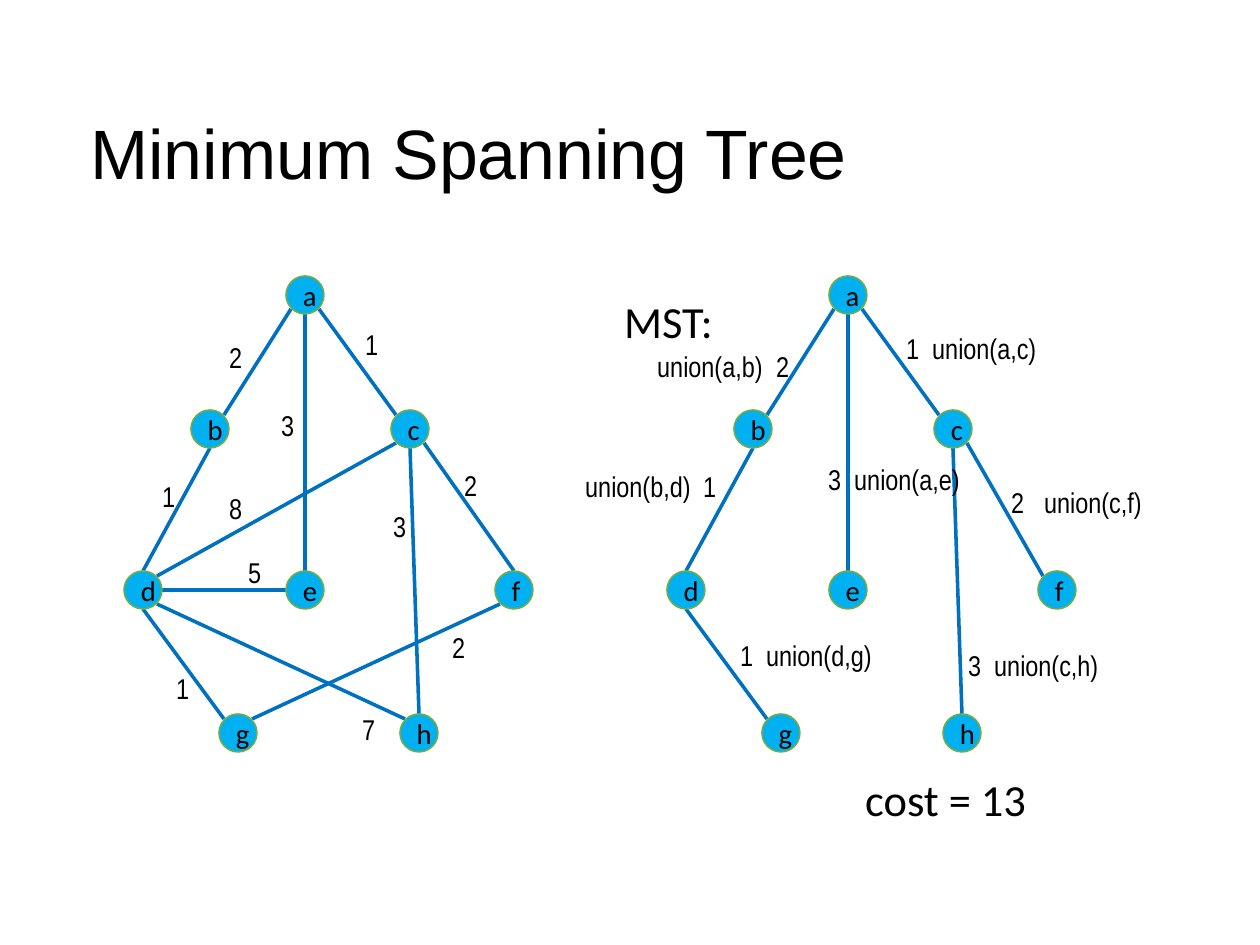
"""Build a slide that shows a weighted graph beside its minimum spanning tree."""
from lxml import etree
from pptx import Presentation
from pptx.dml.color import RGBColor
from pptx.enum.shapes import MSO_CONNECTOR, MSO_SHAPE
from pptx.enum.text import MSO_ANCHOR, MSO_AUTO_SIZE, PP_ALIGN
from pptx.oxml.ns import qn
from pptx.util import Emu, Pt

STRAIGHT, ELLIPSE = MSO_CONNECTOR.STRAIGHT, MSO_SHAPE.OVAL
MIDDLE, NO_AUTOFIT = MSO_ANCHOR.MIDDLE, MSO_AUTO_SIZE.NONE
LEFT, CENTER = PP_ALIGN.LEFT, PP_ALIGN.CENTER

COLORS = {"text": "000000", "node": "00B0F0", "outline": "70AD47", "edge": "0070C0"}
EMU_PER_PX = 8000
SLIDE_SIZE = (1260, 945)
RADIUS, DIAGONAL = 19, 14
TREE_SHIFT = 543

NODES = {
    "a": (305, 295), "b": (210, 429), "c": (410, 429), "d": (143, 590),
    "e": (305, 590), "f": (514, 590), "g": (238, 733), "h": (419, 733),
}
SITES = {
    "top": (0, -RADIUS), "bottom": (0, RADIUS),
    "left": (-RADIUS, 0), "right": (RADIUS, 0),
    "top left": (-DIAGONAL, -DIAGONAL), "top right": (DIAGONAL, -DIAGONAL),
    "bottom left": (-DIAGONAL, DIAGONAL), "bottom right": (DIAGONAL, DIAGONAL),
}
SHARED_EDGES = [
    ("a", "bottom left", "b", "top right"),
    ("a", "bottom right", "c", "top left"),
    ("a", "bottom", "e", "top"),
    ("b", "bottom", "d", "top"),
    ("c", "bottom", "h", "top"),
    ("d", "bottom", "g", "top left"),
]
GRAPH_EDGES = SHARED_EDGES + [
    ("c", "bottom right", "f", "top"),
    ("c", "bottom left", "d", "top right"),
    ("d", "right", "e", "left"),
    ("d", "bottom right", "h", "top left"),
    ("f", "bottom left", "g", "top right"),
]
TREE_EDGES = SHARED_EDGES + [("c", "bottom right", "f", "top left")]
WEIGHTS = [
    ("2", 218, 334), ("1", 354, 321), ("3", 270, 402), ("1", 151, 473),
    ("3", 382, 503), ("1", 165, 665), ("2", 453, 462), ("8", 218, 485),
    ("5", 237, 549), ("7", 351, 706), ("2", 441, 624),
]
UNIONS = [
    ("1\tunion(a,c)", 895, 325, 26), ("union(a,b)\t2", 646, 343, 119),
    ("2\tunion(c,f)", 1000, 479, 33), ("3\tunion(a,e)", 817, 456, 26),
    ("1\tunion(d,g)", 729, 632, 26), ("3\tunion(c,h)", 957, 642, 26),
    ("union(b,d)\t1", 574, 463, 118),
]


def px(length):
    """Turn a length in pixels into EMU."""
    return Emu(length * EMU_PER_PX)


def color(key):
    """Return the named colour."""
    return RGBColor.from_string(COLORS[key])


def write(frame, text, font="Arial Narrow", size=18, align=LEFT, tab=None):
    """Put formatted text into a text frame, with an optional tab stop."""
    frame.word_wrap = True
    paragraph = frame.paragraphs[0]
    paragraph.alignment = align
    run = paragraph.add_run()
    run.text = text
    run.font.name = font
    run.font.size = Pt(size)
    run.font.color.rgb = color("text")
    if tab:
        properties = paragraph._p.get_or_add_pPr()
        stops = etree.SubElement(properties, qn("a:tabLst"))
        etree.SubElement(stops, qn("a:tab"), pos=str(px(tab)), algn="l")


def add_label(shapes, text, x, y, width, height, **text_format):
    """Add a text box."""
    label = shapes.add_textbox(px(x), px(y), px(width), px(height))
    write(label.text_frame, text, **text_format)


def add_node(shapes, letter, x, y):
    """Add a lettered circle centred on a point."""
    node = shapes.add_shape(
        ELLIPSE, px(x - RADIUS), px(y - RADIUS), px(2 * RADIUS), px(2 * RADIUS))
    node.shadow.inherit = False
    node.fill.solid()
    node.fill.fore_color.rgb = color("node")
    node.line.color.rgb = color("outline")
    node.line.width = Pt(1)
    node.text_frame.vertical_anchor = MIDDLE
    write(node.text_frame, letter, font="Calibri", align=CENTER)


def site_point(letter, site, shift):
    """Return the x and y of a site on the rim of a node."""
    (x, y), (dx, dy) = NODES[letter], SITES[site]
    return px(x + dx + shift), px(y + dy)


def add_edge(shapes, start, start_site, end, end_site, shift):
    """Join two nodes with a line."""
    edge = shapes.add_connector(
        STRAIGHT, *site_point(start, start_site, shift), *site_point(end, end_site, shift))
    edge.line.color.rgb = color("edge")
    edge.line.width = Pt(2.25)
    etree.SubElement(edge._element.spPr, qn("a:effectLst"))


def add_graph(shapes, edges, shift=0):
    """Add a group of edges and nodes, and return its shapes."""
    members = shapes.add_group_shape().shapes
    for edge in edges:
        add_edge(members, *edge, shift)
    for letter, (x, y) in NODES.items():
        add_node(members, letter, x + shift, y)
    return members


def set_title(title, text):
    """Place and fill the title placeholder."""
    title.left, title.top, title.width, title.height = map(px, (90, 71, 1057, 157))
    frame = title.text_frame
    frame.auto_size = NO_AUTOFIT
    frame.vertical_anchor = MIDDLE
    frame.margin_left = frame.margin_right = frame.margin_bottom = 0
    frame.margin_top = px(5)
    write(frame, text, font="Arial", size=44)


def main():
    """Build and save the slide."""
    deck = Presentation()
    deck.slide_width, deck.slide_height = map(px, SLIDE_SIZE)
    slide = deck.slides.add_slide(deck.slide_layouts[5])
    shapes = slide.shapes
    set_title(shapes.title, "Minimum Spanning Tree")

    graph = add_graph(shapes, GRAPH_EDGES)
    for weight, x, y in WEIGHTS:
        add_label(graph, weight, x, y, 38, 45)

    add_graph(shapes, TREE_EDGES, TREE_SHIFT)
    for union, x, y, tab in UNIONS:
        add_label(shapes, union, x, y, 200, 43, tab=tab)
    add_label(shapes, "MST:", 613, 288, 126, 62, font="Calibri", size=28)
    add_label(shapes, "cost = 13", 854, 766, 207, 62, font="Calibri", size=28)

    deck.save("out.pptx")


if __name__ == "__main__":
    main()
